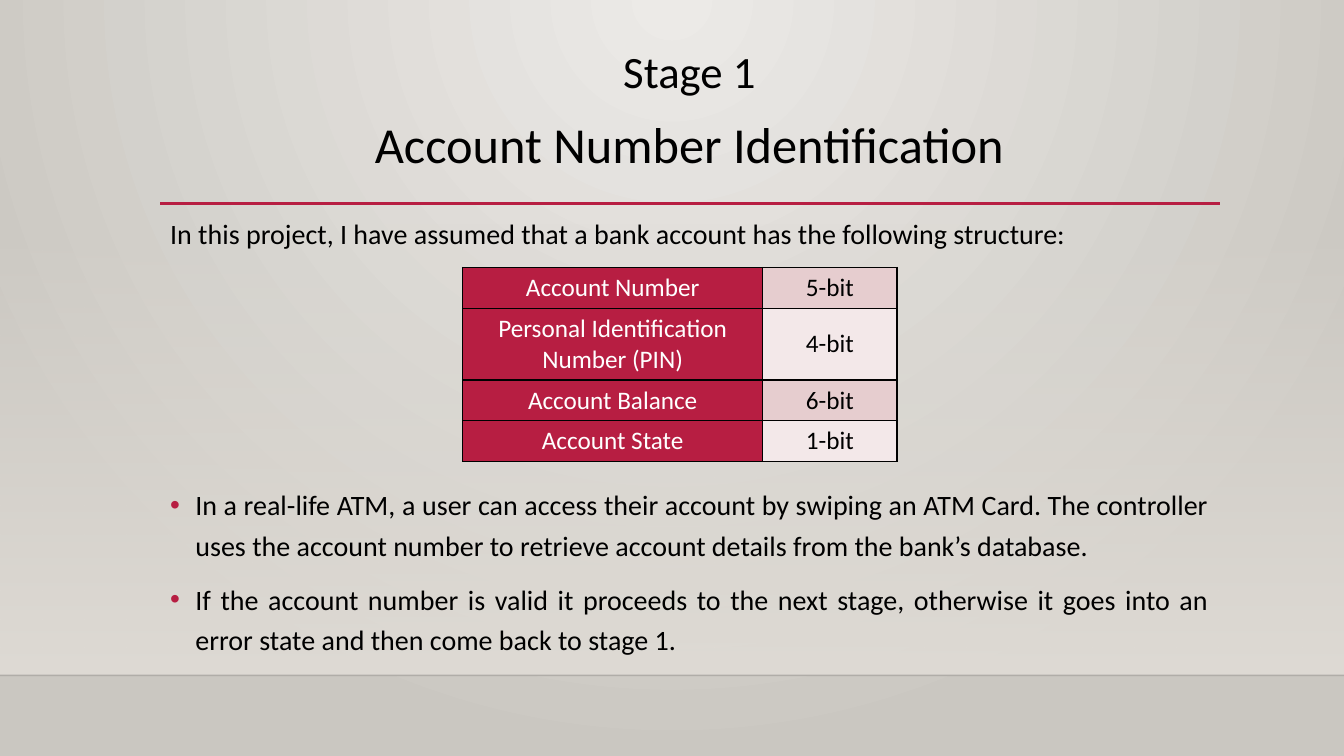
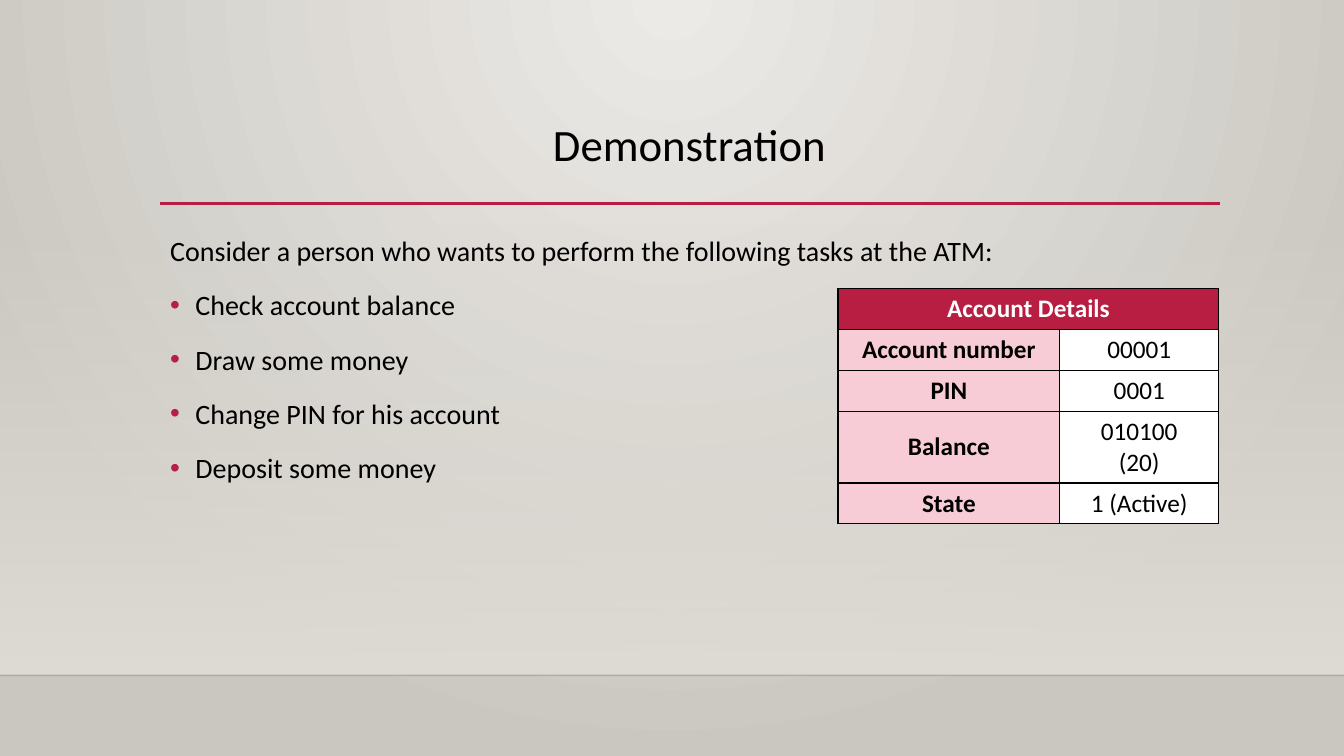
from dataclasses import dataclass
from itertools import cycle
from typing import NamedTuple, Optional

from lxml.etree import SubElement
from pptx import Presentation
from pptx.dml.color import RGBColor
from pptx.enum.shapes import MSO_CONNECTOR, MSO_SHAPE
from pptx.enum.text import MSO_ANCHOR, PP_ALIGN
from pptx.oxml.ns import qn
from pptx.util import Pt


@dataclass(frozen=True)
class Theme:
    font: str = "Calibri"
    black: str = "000000"
    white: str = "FFFFFF"
    crimson: str = "B71E42"
    blush: str = "F7CCD6"
    rose: str = "E6CDCF"
    pale_rose: str = "F3E8E9"
    glow: str = "ECEAE7"
    stone: str = "CAC7C1"
    floor: str = "DFDBD5"
    title: int = 36
    subtitle: int = 32
    body: int = 20
    table: int = 18


class Box(NamedTuple):
    left: float
    top: float
    width: float
    height: float


class Line(NamedTuple):
    left: float
    right: float
    y: float
    color: str
    weight: float
    opacity: Optional[int] = None


class CellStyle(NamedTuple):
    fill: str
    color: str
    bold: bool = False


class Row(NamedTuple):
    label: str
    value: str
    label_style: CellStyle
    value_style: CellStyle
    lines: int = 1


@dataclass(frozen=True)
class TableSpec:
    left: float
    top: float
    widths: tuple[float, float]
    rows: list[Row]
    heading: bool = False


THEME = Theme()
SLIDE_W, SLIDE_H = 960, 540
MARGIN, CONTENT_W = 114.5, 756
FLOOR_TOP, FLOOR_BOTTOM = 159, 482.4
TITLE_BOX = Box(MARGIN, 63.4, CONTENT_W, 82.8)
LINE_H, CELL_PAD = 22, 7.2
BULLET_INDENT = 18
BORDER = 1

BASE_LINES = [
    Line(0, SLIDE_W, FLOOR_BOTTOM, THEME.black, 1, 20),
    Line(MARGIN, 871.2, 145.4, THEME.crimson, 2.5),
]


def rgb(color: str) -> RGBColor:
    return RGBColor.from_string(color)


def style_runs(paragraph, size: float, color: str, bold: bool = False) -> None:
    for run in paragraph.runs:
        run.font.name = THEME.font
        run.font.size = Pt(size)
        run.font.bold = bold
        run.font.color.rgb = rgb(color)


def set_alpha(element, percent: int) -> None:
    color = next(element.iter(qn("a:srgbClr")))
    SubElement(color, qn("a:alpha"), val=str(percent * 1000))


def set_stops(fill, first: str, last: str) -> None:
    fill.gradient()
    for stop, position, color in zip(fill.gradient_stops, (0, 1), (first, last)):
        stop.position = position
        stop.color.rgb = rgb(color)


# Shared backdrop
def set_background(master) -> None:
    set_stops(master.background.fill, THEME.glow, THEME.stone)
    gradient = next(master.element.iter(qn("a:gradFill")))
    gradient.remove(gradient.find(qn("a:lin")))
    circle = SubElement(gradient, qn("a:path"), path="circle")
    SubElement(circle, qn("a:fillToRect"), l="43000", t="0", r="43000", b="100000")


def add_line(slide, line: Line):
    connector = slide.shapes.add_connector(
        MSO_CONNECTOR.STRAIGHT, Pt(line.left), Pt(line.y), Pt(line.right), Pt(line.y))
    connector.line.color.rgb = rgb(line.color)
    connector.line.width = Pt(line.weight)
    properties = connector.element.spPr
    if line.opacity is not None:
        set_alpha(properties, line.opacity)
    SubElement(properties, qn("a:effectLst"))
    return connector


def add_floor(slide):
    floor = slide.shapes.add_shape(
        MSO_SHAPE.RECTANGLE, 0, Pt(FLOOR_TOP), Pt(SLIDE_W), Pt(FLOOR_BOTTOM - FLOOR_TOP))
    floor.shadow.inherit = False
    floor.line.fill.background()
    set_stops(floor.fill, THEME.floor, THEME.floor)
    floor.fill.gradient_angle = 270
    set_alpha(floor.element.spPr, 0)
    return floor


def move_to_layout(layout, shapes) -> None:
    tree = layout.shapes.element if hasattr(layout.shapes, "element") else layout.element.cSld.spTree
    for index, shape in enumerate(shapes, start=2):
        tree.insert(index, shape.element)


# Slide text
def set_title(slide, text: str, size: float) -> None:
    title = slide.shapes.title
    title.left, title.top, title.width, title.height = map(Pt, TITLE_BOX)
    frame = title.text_frame
    frame.text = text
    frame.vertical_anchor = MSO_ANCHOR.MIDDLE
    paragraph = frame.paragraphs[0]
    paragraph.alignment = PP_ALIGN.CENTER
    paragraph.line_spacing = 0.9
    style_runs(paragraph, size, THEME.black)


def add_text(slide, box: Box, text: str):
    frame = slide.shapes.add_textbox(*map(Pt, box)).text_frame
    frame.word_wrap = True
    frame.text = text
    return frame


def add_bullet(paragraph) -> None:
    properties = paragraph._p.get_or_add_pPr()
    properties.set("marL", str(Pt(BULLET_INDENT)))
    properties.set("indent", str(-Pt(BULLET_INDENT)))
    color = SubElement(properties, qn("a:buClr"))
    SubElement(color, qn("a:srgbClr"), val=THEME.crimson)
    SubElement(properties, qn("a:buFont"), typeface="Arial")
    SubElement(properties, qn("a:buChar"), char="•")


def add_body(slide, box: Box, intro: str, points: list[str],
             alignment: PP_ALIGN, gap_after_intro: float = 10) -> None:
    frame = add_text(slide, box, "\n".join([intro, *points]))
    for index, paragraph in enumerate(frame.paragraphs):
        paragraph.alignment = alignment
        paragraph.line_spacing = 1.2
        paragraph.space_before = Pt(gap_after_intro if index == 1 else 10)
        style_runs(paragraph, THEME.body, THEME.black)
        if index:
            add_bullet(paragraph)


# Tables
def set_borders(cell) -> None:
    properties = cell._tc.get_or_add_tcPr()
    for index, side in enumerate(("a:lnL", "a:lnR", "a:lnT", "a:lnB")):
        border = SubElement(properties, qn(side), w=str(Pt(BORDER)))
        fill = SubElement(border, qn("a:solidFill"))
        SubElement(fill, qn("a:srgbClr"), val=THEME.black)
        properties.insert(index, border)


def fill_cell(cell, text: str, style: CellStyle) -> None:
    cell.text_frame.text = text
    cell.vertical_anchor = MSO_ANCHOR.MIDDLE
    cell.fill.solid()
    cell.fill.fore_color.rgb = rgb(style.fill)
    set_borders(cell)
    for paragraph in cell.text_frame.paragraphs:
        paragraph.alignment = PP_ALIGN.CENTER
        style_runs(paragraph, THEME.table, style.color, style.bold)


def add_account_table(slide, spec: TableSpec) -> None:
    heights = [row.lines * LINE_H + CELL_PAD for row in spec.rows]
    table = slide.shapes.add_table(
        len(spec.rows), len(spec.widths), Pt(spec.left), Pt(spec.top),
        Pt(sum(spec.widths)), Pt(sum(heights))).table
    table.first_row = spec.heading
    table.horz_banding = False
    for column, width in zip(table.columns, spec.widths):
        column.width = Pt(width)
    for index, (row, height) in enumerate(zip(spec.rows, heights)):
        table.rows[index].height = Pt(height)
        fill_cell(table.cell(index, 0), row.label, row.label_style)
        fill_cell(table.cell(index, 1), row.value, row.value_style)
    if spec.heading:
        table.cell(0, 0).merge(table.cell(0, 1))


# Slides
def build_stage_one(slide) -> None:
    set_title(slide, "Account Number Identification", THEME.title)
    add_body(
        slide, Box(MARGIN, 146.2, CONTENT_W, 337.7),
        "In this project, I have assumed that a bank account has the following structure:",
        ["In a real-life ATM, a user can access their account by swiping an ATM Card. "
         "The controller uses the account number to retrieve account details from the "
         "bank’s database.",
         "If the account number is valid it proceeds to the next stage, otherwise it goes "
         "into an error state and then come back to stage 1."],
        PP_ALIGN.JUSTIFY, gap_after_intro=165)
    label = CellStyle(THEME.crimson, THEME.white)
    bands = cycle([CellStyle(THEME.rose, THEME.black),
                   CellStyle(THEME.pale_rose, THEME.black)])
    fields = [("Account Number", "5-bit", 1),
              ("Personal Identification Number (PIN)", "4-bit", 2),
              ("Account Balance", "6-bit", 1),
              ("Account State", "1-bit", 1)]
    rows = [Row(name, bits, label, band, lines)
            for (name, bits, lines), band in zip(fields, bands)]
    add_account_table(slide, TableSpec(330.4, 191, (214.5, 95.8), rows))
    stage = add_text(slide, Box(432.5, 28, 120, 46), "Stage 1").paragraphs[0]
    stage.alignment = PP_ALIGN.CENTER
    style_runs(stage, THEME.subtitle, THEME.black)


def build_demonstration(slide) -> None:
    set_title(slide, "Demonstration", THEME.subtitle)
    add_body(
        slide, Box(MARGIN, 158.4, CONTENT_W, 310.3),
        "Consider a person who wants to perform the following tasks at the ATM:",
        ["Check account balance", "Draw some money",
         "Change PIN for his account", "Deposit some money"],
        PP_ALIGN.LEFT)
    heading = CellStyle(THEME.crimson, THEME.white, bold=True)
    label = CellStyle(THEME.blush, THEME.black, bold=True)
    value = CellStyle(THEME.white, THEME.black)
    rows = [Row("Account Details", "", heading, heading),
            Row("Account number", "00001", label, value),
            Row("PIN", "0001", label, value),
            Row("Balance", "010100\n(20)", label, value, 2),
            Row("State", "1 (Active)", label, value)]
    add_account_table(slide, TableSpec(598.6, 206.2, (158.4, 113.6), rows, heading=True))


def main() -> None:
    deck = Presentation()
    deck.slide_width, deck.slide_height = Pt(SLIDE_W), Pt(SLIDE_H)
    layout = deck.slide_layouts.get_by_name("Title Only")
    set_background(deck.slide_master)
    stage_one, demonstration = (deck.slides.add_slide(layout) for _ in range(2))
    move_to_layout(layout, [add_floor(stage_one),
                            *(add_line(stage_one, line) for line in BASE_LINES)])
    build_stage_one(stage_one)
    build_demonstration(demonstration)
    deck.save("out.pptx")


if __name__ == "__main__":
    main()
